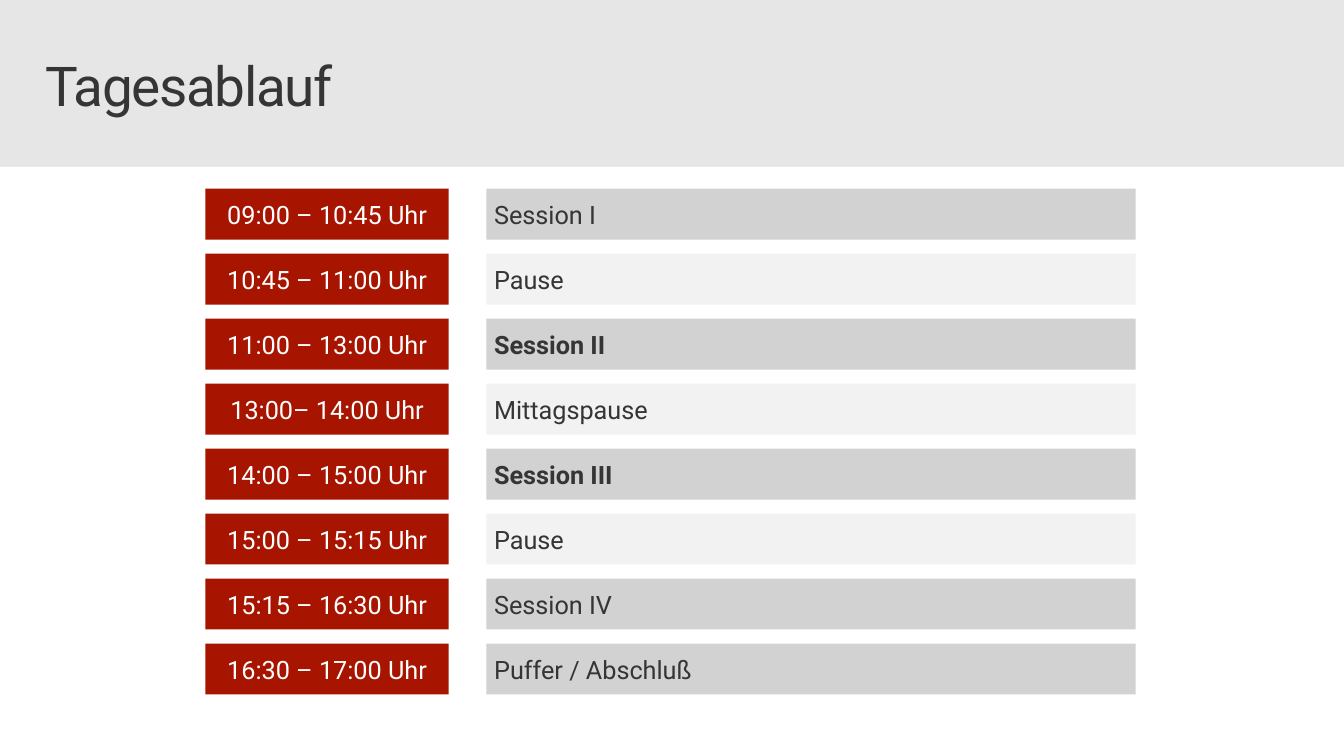
from dataclasses import dataclass

from pptx import Presentation
from pptx import util as u
from pptx.dml.color import RGBColor
from pptx.enum import shapes, text


@dataclass(frozen=True)
class Theme:
    font: str = "Roboto"
    title_size: float = 40
    row_size: float = 18.4
    ink: str = "353535"
    white: str = "FFFFFF"
    header: str = "E6E6E6"
    time: str = "A71400"
    session: str = "D2D2D2"
    pause: str = "F2F2F2"


SCHEDULE = [
    # time, topic, is a pause, bold
    ("09:00 – 10:45 Uhr", "Session I", False, False),
    ("10:45 – 11:00 Uhr", "Pause", True, False),
    ("11:00 – 13:00 Uhr", "Session II", False, True),
    ("13:00– 14:00 Uhr", "Mittagspause", True, False),
    ("14:00 – 15:00 Uhr", "Session III", False, True),
    ("15:00 – 15:15 Uhr", "Pause", True, False),
    ("15:15 – 16:30 Uhr", "Session IV", False, False),
    ("16:30 – 17:00 Uhr", "Puffer / Abschluß", False, False),
]
SLIDE_WIDTH, SLIDE_HEIGHT = 34.54, 19.43
HEADER_HEIGHT = 4.29
FIRST_TOP, ROW_HEIGHT, ROW_GAP = 4.85, 1.31, 0.36
TIME_LEFT, TIME_WIDTH = 5.28, 6.25
TOPIC_LEFT, TOPIC_WIDTH = 12.5, 16.69


class SlideBuilder:
    def __init__(self, slide, theme):
        self.slide = slide
        self.theme = theme

    def background(self, color):
        fill = self.slide.background.fill
        fill.solid()
        fill.fore_color.rgb = RGBColor.from_string(color)

    def set_margins(self, frame, side, vertical):
        frame.margin_left = frame.margin_right = u.Cm(side)
        frame.margin_top = frame.margin_bottom = u.Cm(vertical)
        frame.vertical_anchor = text.MSO_ANCHOR.MIDDLE

    def add_run(self, paragraph, wording, size, color, bold=False):
        run = paragraph.add_run()
        run.text = wording
        run.font.name = self.theme.font
        run.font.size = u.Pt(size)
        run.font.bold = bold
        run.font.color.rgb = RGBColor.from_string(color)
        return run

    def title(self, wording, left, top, width, height):
        shape = self.slide.shapes.title
        shape.left, shape.top = u.Cm(left), u.Cm(top)
        shape.width, shape.height = u.Cm(width), u.Cm(height)
        frame = shape.text_frame
        frame.word_wrap = True
        frame.auto_size = text.MSO_AUTO_SIZE.SHAPE_TO_FIT_TEXT
        self.set_margins(frame, 0.41, 0.25)
        paragraph = frame.paragraphs[0]
        paragraph.alignment = text.PP_ALIGN.LEFT
        paragraph.line_spacing = 0.9
        run = self.add_run(paragraph, wording, self.theme.title_size, self.theme.ink)
        run.font._element.set("spc", "-100")

    def box(self, left, top, width, height, color):
        shape = self.slide.shapes.add_shape(
            shapes.MSO_SHAPE.RECTANGLE,
            u.Cm(left), u.Cm(top), u.Cm(width), u.Cm(height),
        )
        shape.shadow.inherit = False
        shape.fill.solid()
        shape.fill.fore_color.rgb = RGBColor.from_string(color)
        shape.line.fill.background()
        return shape

    def label(self, shape, wording, color, alignment, side, vertical, bold=False):
        frame = shape.text_frame
        frame.word_wrap = True
        self.set_margins(frame, side, vertical)
        paragraph = frame.paragraphs[0]
        paragraph.alignment = alignment
        self.add_run(paragraph, wording, self.theme.row_size, color, bold)

    def schedule_row(self, top, time, topic, is_pause, bold):
        theme = self.theme
        time_box = self.box(TIME_LEFT, top, TIME_WIDTH, ROW_HEIGHT, theme.time)
        self.label(time_box, time, theme.white, text.PP_ALIGN.CENTER, 0, 0.13)
        topic_color = theme.pause if is_pause else theme.session
        topic_box = self.box(TOPIC_LEFT, top, TOPIC_WIDTH, ROW_HEIGHT, topic_color)
        self.label(topic_box, topic, theme.ink, text.PP_ALIGN.LEFT, 0.2, 0.2, bold)


def main():
    presentation = Presentation()
    presentation.slide_width = u.Cm(SLIDE_WIDTH)
    presentation.slide_height = u.Cm(SLIDE_HEIGHT)
    title_only = presentation.slide_layouts.get_by_name("Title Only")
    theme = Theme()
    builder = SlideBuilder(presentation.slides.add_slide(title_only), theme)

    builder.background(theme.header)
    builder.box(0, HEADER_HEIGHT, SLIDE_WIDTH, SLIDE_HEIGHT - HEADER_HEIGHT, theme.white)
    builder.title("Tagesablauf", 0.76, 1.24, 32.77, 2.06)
    for index, entry in enumerate(SCHEDULE):
        builder.schedule_row(FIRST_TOP + index * (ROW_HEIGHT + ROW_GAP), *entry)

    presentation.save("out.pptx")


if __name__ == "__main__":
    main()
